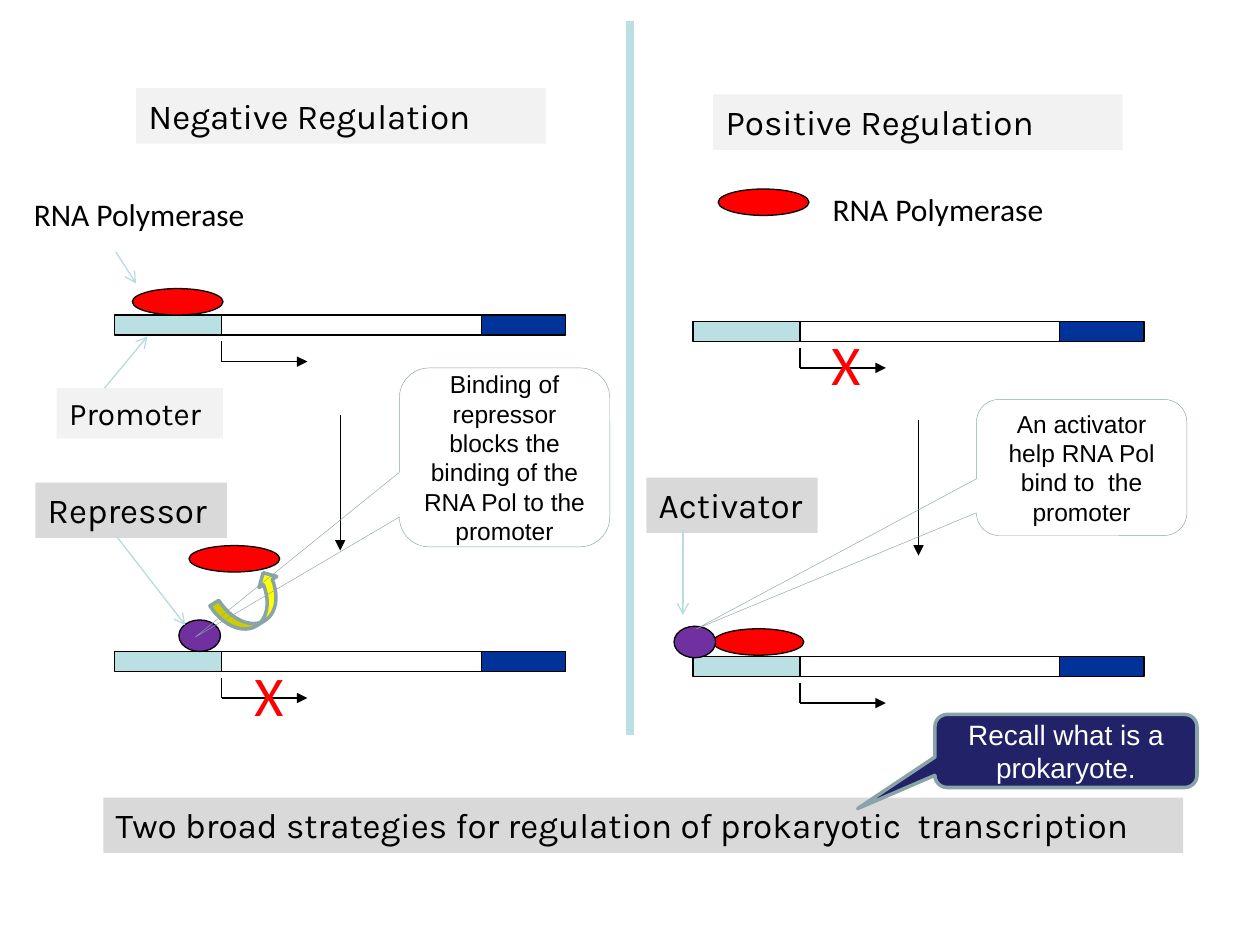
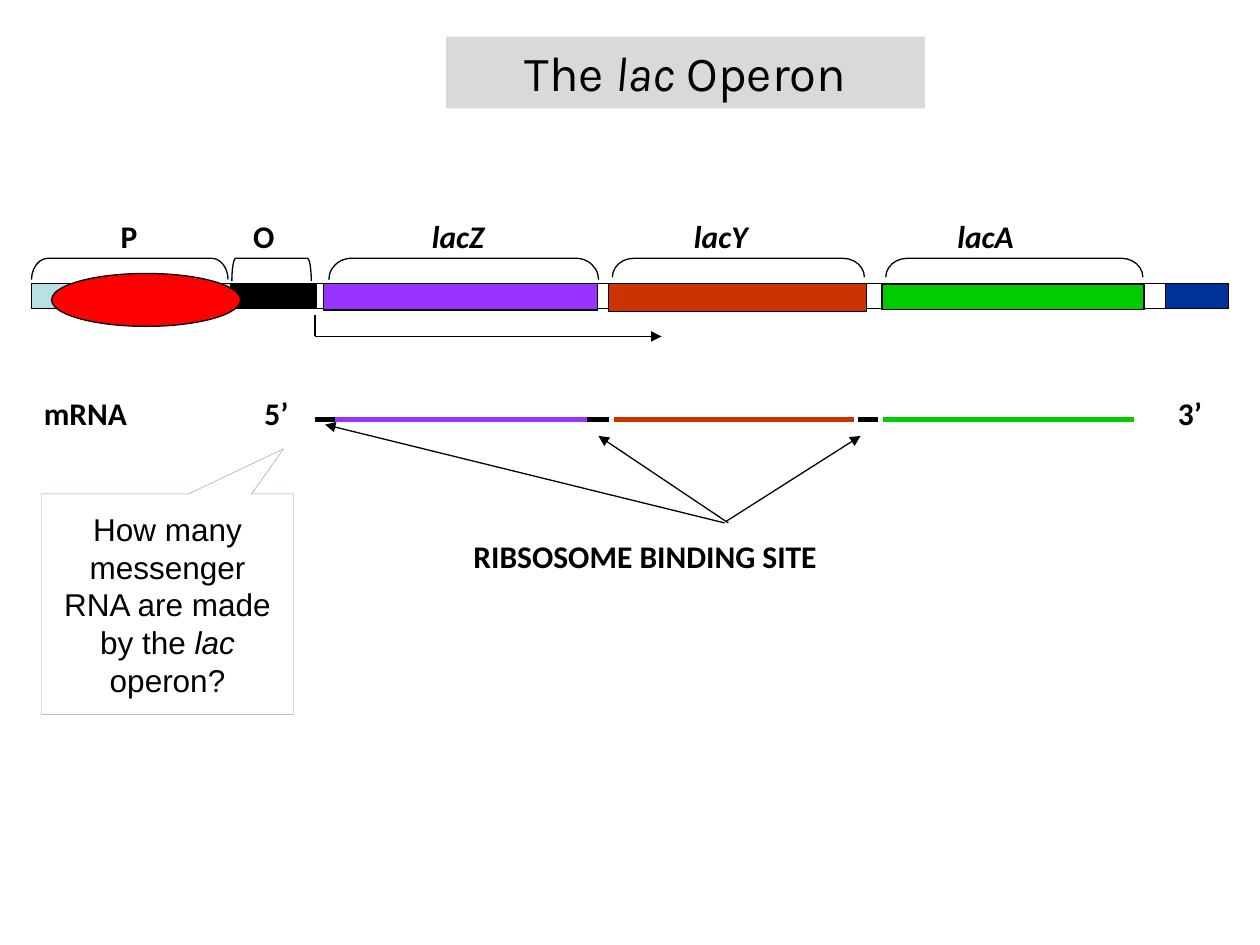
from lxml import etree
from pptx import Presentation
from pptx.dml.color import RGBColor
from pptx.enum import shapes, text
from pptx.oxml.ns import qn
from pptx.util import Inches, Pt

BLACK, WHITE, RED, PURPLE = "000000", "FFFFFF", "FF0000", "7030A0"
PROMOTER, TERMINATOR, POINTER = "BBE0E3", "003399", "B6DCDF"
PALE, GREY, OUTLINE, NAVY, YELLOW = "F2F2F2", "D9D9D9", "89A4A7", "222268", "FFFF00"
LAC_Z, LAC_Y, LAC_A = "9933FF", "CC3300", "00CC00"

KIND = shapes.MSO_SHAPE
CENTER = text.PP_ALIGN.CENTER

TRACKS = [(0.91, 2.5), (5.5, 5.21), (0.91, 5.17), (5.5, 2.55)]
TRACK_PARTS = [(0.85, PROMOTER), (2.06, None), (0.67, TERMINATOR)]
POLYMERASES = [(1.05, 2.29), (5.66, 4.99), (1.5, 4.33), (5.7, 1.5)]
REGULATORS = [(5.35, 4.97), (1.42, 4.92)]
STAGE_ARROWS = [(2.7, 3.29), (7.29, 3.33)]
CROSSES = [(1.92, 5.19), (6.5, 2.57)]
POLYMERASE_LABELS = [(0.17, 1.5), (6.51, 1.46)]
LABELS = [
    ("Negative Regulation", (1.08, 0.7, 3.25, 0.44), PALE, 20),
    ("Positive Regulation", (5.66, 0.75, 3.25, 0.44), PALE, 20),
    ("Activator", (5.13, 3.79, 1.36, 0.44), GREY, 20),
    ("Repressor", (0.28, 3.83, 1.52, 0.44), GREY, 20),
    ("Two broad strategies for regulation of prokaryotic  transcription",
     (0.82, 6.33, 8.57, 0.44), GREY, 20),
    ("Promoter", (0.45, 3.08, 1.32, 0.4), PALE, 18),
]
POINTERS = [
    ((5.42, 4.21), (5.42, 4.88)),
    ((0.92, 2), (1.08, 2.25)),
    ((0.92, 4.25), (1.47, 4.96)),
    ((0.83, 3.08), (1.17, 2.67)),
]
CALLOUTS = [
    ("Binding of repressor blocks the binding of the RNA Pol to the promoter",
     (3.17, 2.92, 1.67, 1.42), (-1.471, 1.005), None, 0.25, 14, BLACK),
    ("An activator help RNA Pol bind to  the promoter",
     (7.75, 3.17, 1.67, 1.08), (-1.832, 1.187), None, 0.25, 14, BLACK),
    ("Recall what is a prokaryote.",
     (7.42, 5.67, 2.08, 0.58), (-0.795, 0.789), NAVY, 2, 16, WHITE),
]

OPERON_TITLE = [("The ", False), ("lac", True), (" Operon", False)]
QUESTION = [("How many messenger RNA are made by the ", False),
            ("lac ", True), ("operon?", False)]
OPERON_PARTS = [
    ((0.25, 2.25, 2.26, 0.2), PROMOTER),
    ((2.51, 2.25, 6.74, 0.2), None),
    ((9.25, 2.25, 0.5, 0.2), TERMINATOR),
    ((1.83, 2.25, 0.67, 0.19), BLACK),
    ((2.57, 2.25, 2.17, 0.21), LAC_Z),
    ((4.83, 2.25, 2.05, 0.22), LAC_Y),
    ((7, 2.26, 2.08, 0.2), LAC_A),
]
BRACKETS = [
    (0.25, 1.56, 0.17, 0.77),
    (1.84, 0.63, 0.18, 0.17),
    (2.61, 2.14, 0.17, 1.06),
    (4.86, 2, 0.15, 1.13),
    (7.03, 2.04, 0.15, 1.13),
]
OPERON_LABELS = [
    ("P", 0.86, 1.67, 0.58, False),
    ("O", 1.91, 1.67, 0.58, False),
    ("lacZ", 3.33, 1.67, 1, True),
    ("lacY", 5.41, 1.67, 1, True),
    ("lacA", 7.5, 1.67, 1, True),
    ("mRNA", 0.25, 3.08, 1.33, False),
    ("5’", 2, 3.08, 0.5, False),
    ("3’", 9.25, 3.08, 0.5, False),
    ("RIBSOSOME BINDING SITE", 3.66, 4.21, 4.67, False),
]
MESSAGE = [
    (2.5, 2.66, BLACK), (2.66, 4.66, LAC_Z), (4.66, 4.83, BLACK),
    (4.87, 6.78, LAC_Y), (6.81, 6.97, BLACK), (7.01, 9, LAC_A),
]
BINDING_SITES = [
    ((5.75, 4.15), (2.58, 3.37)),
    ((5.78, 4.15), (4.75, 3.46)),
    ((5.76, 4.14), (6.83, 3.46)),
]


def color(value):
    return RGBColor.from_string(value)


def add_form(page, kind, place, fill=None, line=None, weight=0.75):
    shape = page.shapes.add_shape(kind, *map(Inches, place))
    shape.shadow.inherit = False
    if fill:
        shape.fill.solid()
        shape.fill.fore_color.rgb = color(fill)
    else:
        shape.fill.background()
    if line:
        shape.line.color.rgb = color(line)
        shape.line.width = Pt(weight)
    else:
        shape.line.fill.background()
    return shape


def write(box, content, size, font, ink=BLACK, bold=False, italic=False,
          align=text.PP_ALIGN.LEFT, anchor=text.MSO_ANCHOR.TOP):
    frame = box.text_frame
    frame.word_wrap = True
    frame.vertical_anchor = anchor
    para = frame.paragraphs[0]
    para.alignment = align
    para.font.size = Pt(size)
    para.font.name = font
    para.font.bold = bold
    para.font.color.rgb = color(ink)
    spans = [(content, italic)] if isinstance(content, str) else content
    for words, slanted in spans:
        span = para.add_run()
        span.text = words
        span.font.italic = slanted


def add_text(page, content, place, size, **style):
    box = page.shapes.add_textbox(*map(Inches, place))
    write(box, content, size, "Calibri", **style)


def add_callout(page, kind, content, place, tip, fill, weight, size, ink):
    shape = add_form(page, kind, place, fill, OUTLINE, weight)
    shape.adjustments[0], shape.adjustments[1] = tip
    write(shape, content, size, "Arial", ink, align=CENTER,
          anchor=text.MSO_ANCHOR.MIDDLE)


def add_line(page, start, end, ink=BLACK, weight=0.75, head=None):
    line = page.shapes.add_connector(
        shapes.MSO_CONNECTOR.STRAIGHT, *map(Inches, (*start, *end)))
    line.line.color.rgb = color(ink)
    line.line.width = Pt(weight)
    if head:
        etree.SubElement(line.line._get_or_add_ln(), qn("a:tailEnd"), type=head)
    etree.SubElement(line._element.spPr, qn("a:effectLst"))


def add_start_arrow(page, left, top, height, length):
    corner = (left, top + height)
    add_line(page, (left, top), corner)
    add_line(page, corner, (left + length, top + height), head="triangle")


def add_track(page, left, top):
    add_start_arrow(page, left + TRACK_PARTS[0][0], top + 0.21, 0.16, 0.68)
    for width, fill in TRACK_PARTS:
        add_form(page, KIND.RECTANGLE, (left, top, width, 0.16), fill, BLACK)
        left += width


def build_regulation(page):
    add_line(page, (5, 0.17), (5, 5.83), PROMOTER, 4.5)
    for left, top in TRACKS:
        add_track(page, left, top)
    for left, top in STAGE_ARROWS:
        add_line(page, (left, top), (left, top + 1.08), head="triangle")
    for left, top in POLYMERASES:
        add_form(page, KIND.OVAL, (left, top, 0.72, 0.21), RED, BLACK)
    for left, top in REGULATORS:
        add_form(page, KIND.OVAL, (left, top, 0.33, 0.25), PURPLE, BLACK)
    for left, top in CROSSES:
        add_text(page, "X", (left, top, 0.42, 0.64), 32, ink=RED)
    for left, top in POLYMERASE_LABELS:
        add_text(page, "RNA Polymerase", (left, top, 1.94, 0.4), 18)
    for content, place, fill, size in LABELS:
        label = add_form(page, KIND.RECTANGLE, place, fill)
        write(label, content, size, "Karla")
    for start, end in POINTERS:
        add_line(page, start, end, POINTER, head="arrow")
    release = add_form(page, KIND.CURVED_UP_ARROW, (1.71, 4.63, 0.58, 0.33),
                       YELLOW, OUTLINE, 2)
    release.rotation = 328.1
    for callout in CALLOUTS:
        add_callout(page, KIND.ROUNDED_RECTANGULAR_CALLOUT, *callout)


def build_operon(page):
    title = add_form(page, KIND.RECTANGLE, (3.54, 0.29, 3.8, 0.57), GREY)
    write(title, OPERON_TITLE, 28, "Karla", align=CENTER)
    add_start_arrow(page, 2.5, 2.5, 0.17, 2.75)
    for place, fill in OPERON_PARTS:
        add_form(page, KIND.RECTANGLE, place, fill, BLACK)
    for left, span, depth, curve in BRACKETS:
        place = (left + (span - depth) / 2, 2.05 + (depth - span) / 2, depth, span)
        bracket = add_form(page, KIND.LEFT_BRACKET, place, line=BLACK)
        bracket.rotation = 90
        bracket.adjustments[0] = curve
    for content, left, top, width, italic in OPERON_LABELS:
        add_text(page, content, (left, top, width, 0.4), 18, bold=True, italic=italic)
    add_form(page, KIND.OVAL, (0.41, 2.17, 1.5, 0.42), RED, BLACK)
    for start, end, ink in MESSAGE:
        add_line(page, (start, 3.33), (end, 3.33), ink, 3)
    for start, end in BINDING_SITES:
        add_line(page, start, end, head="triangle")
    add_callout(page, KIND.RECTANGULAR_CALLOUT, QUESTION, (0.33, 3.92, 2, 1.75),
                (0.461, -0.705), WHITE, 0.25, 18, BLACK)


def main():
    deck = Presentation()
    deck.slide_width, deck.slide_height = Inches(10), Inches(7.5)
    for build in (build_regulation, build_operon):
        build(deck.slides.add_slide(deck.slide_layouts[6]))
    deck.save("out.pptx")


if __name__ == "__main__":
    main()
